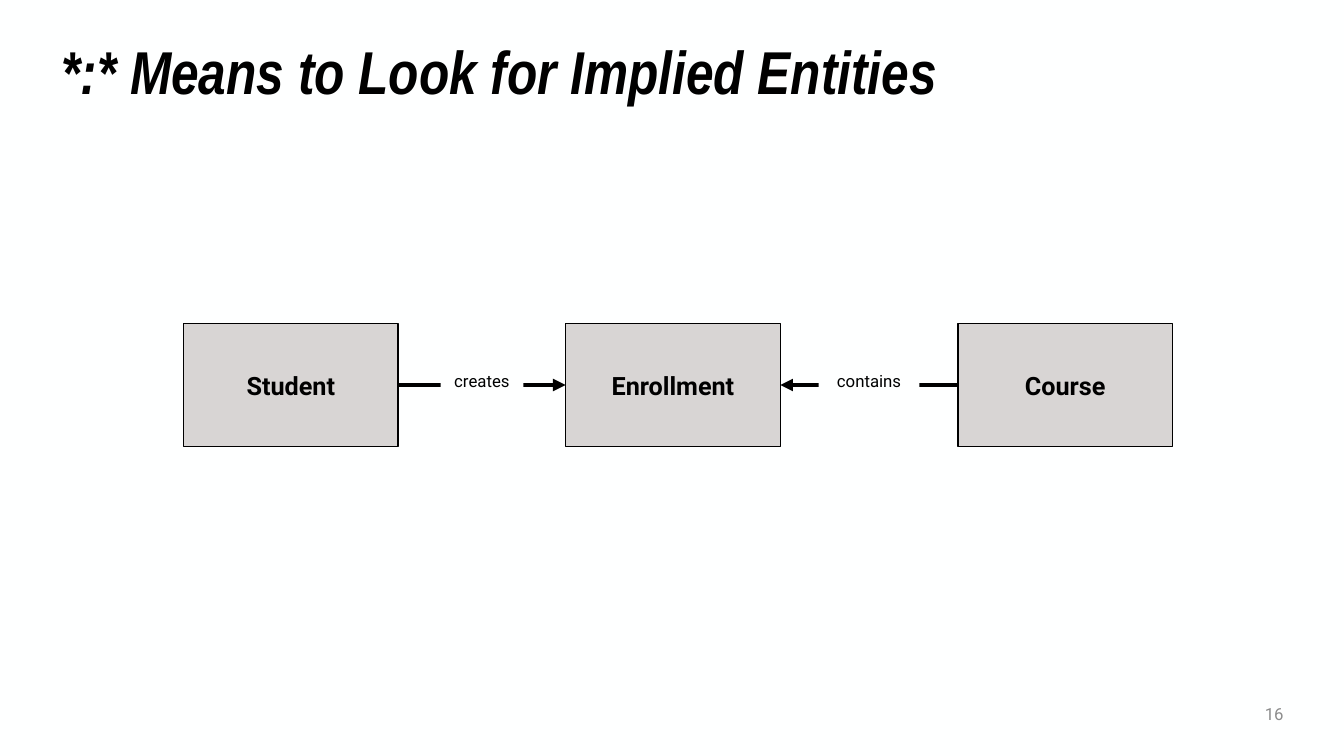
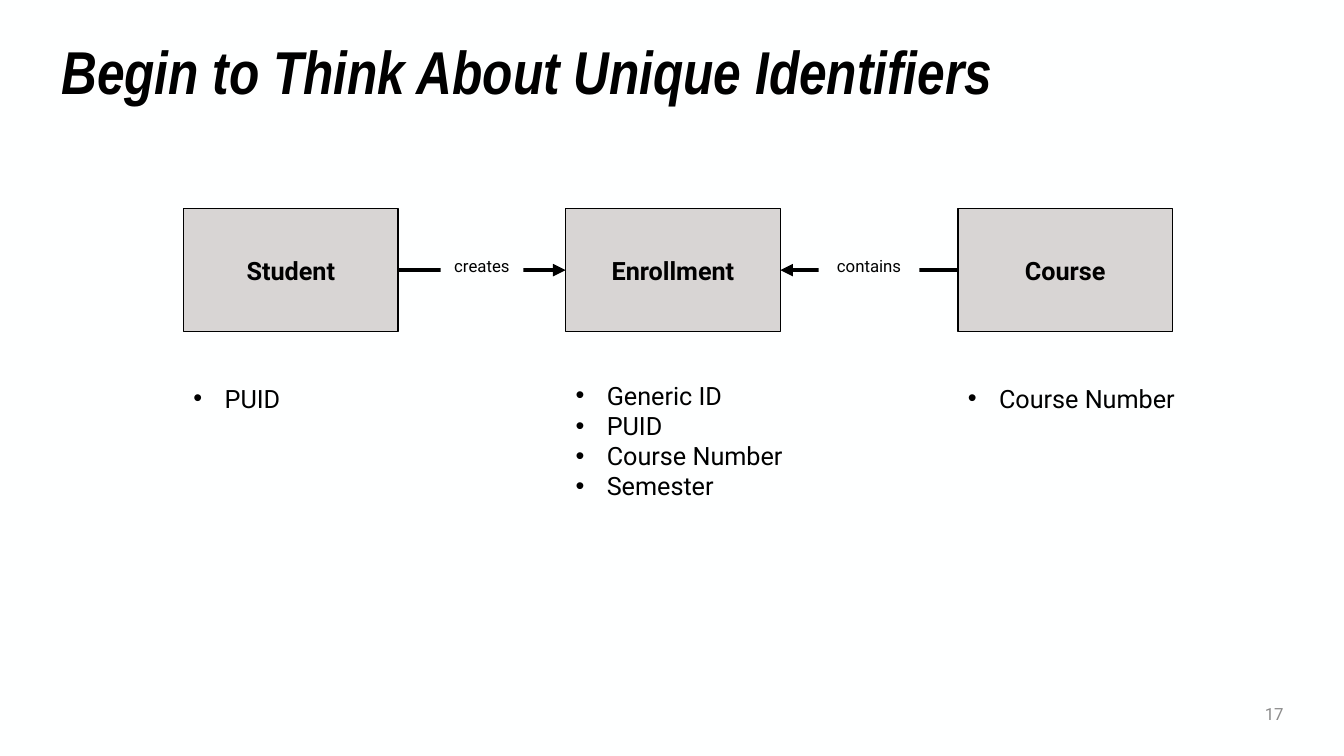
from pptx import Presentation
from pptx.dml.color import RGBColor
from pptx.enum.shapes import MSO_CONNECTOR, MSO_SHAPE
from pptx.enum.text import MSO_ANCHOR, MSO_AUTO_SIZE, PP_ALIGN
from pptx.oxml.ns import qn
from pptx.util import Pt
from lxml import etree

RECT, STRAIGHT = MSO_SHAPE.RECTANGLE, MSO_CONNECTOR.STRAIGHT
LEFT, CENTER, RIGHT = PP_ALIGN.LEFT, PP_ALIGN.CENTER, PP_ALIGN.RIGHT
TOP, MIDDLE = MSO_ANCHOR.TOP, MSO_ANCHOR.MIDDLE
SIDE_LEFT, SIDE_RIGHT = 1, 3

PX = 9144  # 100 px to the inch
COLORS = {"page": "FEFFFF", "ink": "000000", "box": "D8D5D4", "number": "8C8C8C"}
TITLE_FONT, BODY_FONT = "Arial Narrow", "Roboto"
BOX_W, BOX_H = 213, 122
INDENT = 31
LABEL_DROP, LABEL_H = 21, 71

ENTITIES = {"Student": 182, "Enrollment": 561, "Course": 950}
# label, from entity, side, to entity, side, label left, label width
RELATIONS = [
    ("creates", "Student", SIDE_RIGHT, "Enrollment", SIDE_LEFT, 437, 82),
    ("contains", "Course", SIDE_LEFT, "Enrollment", SIDE_RIGHT, 812, 100),
]
# title, top of the entity row, lists as (entity, top, width, height, items)
SLIDES = [
    ("*:* Means to Look for Implied Entities", 321, []),
    ("Begin to Think About Unique Identifiers", 207, [
        ("Student", 375, 213, 40, ["PUID"]),
        ("Course", 375, 282, 40, ["Course Number"]),
        ("Enrollment", 372, 282, 131,
         ["Generic ID", "PUID", "Course Number", "Semester"]),
    ]),
]
FIRST_NUMBER = 16


def rgb(name):
    return RGBColor.from_string(COLORS[name])


def add_text(s, lines, x, y, w, h, size=18, font=BODY_FONT, color="ink", bold=False,
             italic=False, align=LEFT, anchor=MIDDLE, spacing=None, bullet=False,
             fill=None, line=None):
    """Add a text box, or a filled rectangle when fill is given."""
    at = [v * PX for v in (x, y, w, h)]
    if fill:
        sp = s.shapes.add_shape(RECT, *at)
        sp.shadow.inherit = False
        sp.fill.solid()
        sp.fill.fore_color.rgb = rgb(fill)
        if line:
            sp.line.color.rgb = rgb(line)
            sp.line.width = Pt(1)
        else:
            sp.line.fill.background()
    else:
        sp = s.shapes.add_textbox(*at)
    tf = sp.text_frame
    tf.word_wrap = True
    tf.vertical_anchor = anchor
    if bullet:
        tf.auto_size = MSO_AUTO_SIZE.SHAPE_TO_FIT_TEXT
    for i, text in enumerate(lines):
        p = tf.add_paragraph() if i else tf.paragraphs[0]
        p.alignment = align
        if spacing:
            p.line_spacing = spacing
        if bullet:
            pPr = p._p.get_or_add_pPr()
            pPr.set("marL", str(INDENT * PX))
            pPr.set("indent", str(-INDENT * PX))
            etree.SubElement(pPr, qn("a:buFont")).set("typeface", "Arial")
            etree.SubElement(pPr, qn("a:buChar")).set("char", "•")
        r = p.add_run()
        r.text = text
        r.font.size = Pt(size)
        r.font.name = font
        r.font.bold = bold
        r.font.italic = italic
        r.font.color.rgb = rgb(color)
    return sp


prs = Presentation()
prs.slide_width, prs.slide_height = 1333 * PX, 750 * PX

for number, (title, row_top, lists) in enumerate(SLIDES, FIRST_NUMBER):
    s = prs.slides.add_slide(prs.slide_layouts[6])
    s.background.fill.solid()
    s.background.fill.fore_color.rgb = rgb("page")

    # Title and slide number
    add_text(s, [title], 51, 42, 1232, 64, size=43.2, font=TITLE_FONT,
             bold=True, italic=True, spacing=0.9)
    add_text(s, [str(number)], 1163, 688, 120, 40, size=12, color="number", align=RIGHT)

    # Entities
    boxes = {
        name: add_text(s, [name], x, row_top, BOX_W, BOX_H, bold=True, align=CENTER,
                       fill="box", line="ink")
        for name, x in ENTITIES.items()
    }

    # Relations: an arrow with its label on top
    for label, start, start_side, end, end_side, x, w in RELATIONS:
        c = s.shapes.add_connector(STRAIGHT, 0, 0, 0, 0)
        c.begin_connect(boxes[start], start_side)
        c.end_connect(boxes[end], end_side)
        c.line.color.rgb = rgb("ink")
        c.line.width = Pt(3)
        spPr = c.element.spPr
        etree.SubElement(spPr.find(qn("a:ln")), qn("a:tailEnd")).set("type", "triangle")
        etree.SubElement(spPr, qn("a:effectLst"))
        add_text(s, [label], x, row_top + LABEL_DROP, w, LABEL_H, size=12, align=CENTER,
                 fill="page")

    # Identifiers under each entity
    for name, y, w, h, items in lists:
        add_text(s, items, ENTITIES[name], y, w, h, anchor=TOP, bullet=True)

prs.save("out.pptx")
